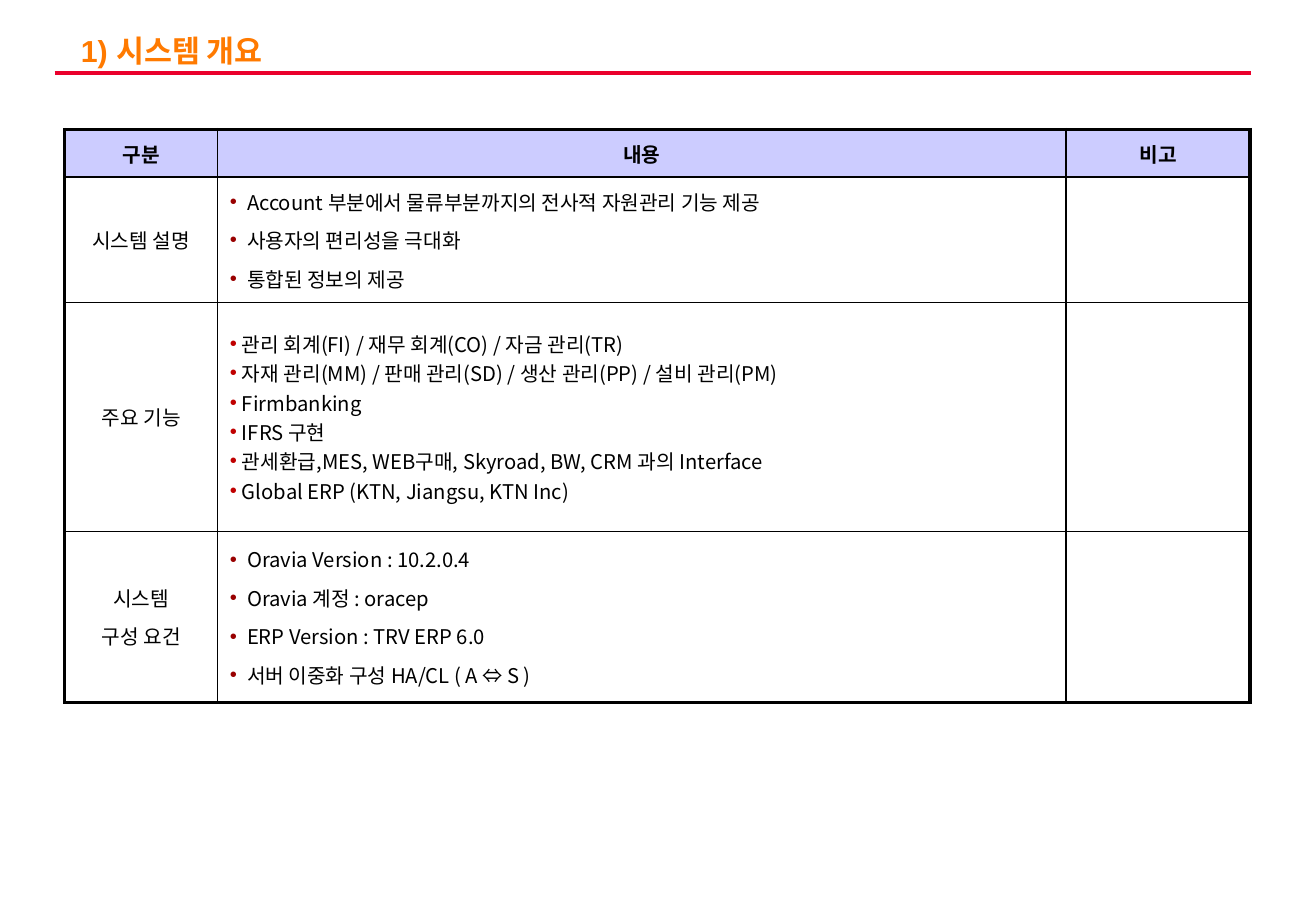
from lxml import etree
from pptx import Presentation, util as u
from pptx.dml.color import RGBColor
from pptx.enum import shapes, text
from pptx.oxml import ns

BLACK = RGBColor(0x00, 0x00, 0x00)
ORANGE = RGBColor(0xFF, 0x7A, 0x00)
RED = RGBColor(0xEA, 0x00, 0x2C)
LAVENDER = RGBColor(0xCC, 0xCC, 0xFF)
MAROON = RGBColor(0x99, 0x00, 0x00)
CRIMSON = RGBColor(0xC0, 0x00, 0x00)

KOREAN_FONT = "Noto Sans CJK KR"
TITLE_FONT = {"name": "Arial", "size": u.Pt(18), "bold": True}
BODY_FONT = {"name": KOREAN_FONT, "size": u.Pt(12), "bold": False}
HEADER_FONT = {**BODY_FONT, "bold": True}

CENTERED = {"alignment": text.PP_ALIGN.CENTER, "space_before": u.Pt(5.4)}
SPACED = {"alignment": text.PP_ALIGN.LEFT, "space_before": u.Pt(5.4)}
TIGHT = {"alignment": text.PP_ALIGN.LEFT}
WIDE_BULLET = (MAROON, 17)
NARROW_BULLET = (CRIMSON, 12)

OUTER, INNER = u.Pt(2.25), u.Pt(1)
COLUMN_WIDTHS = [151, 838, 182]
ROW_HEIGHTS = [47, 124, 226, 169]

HEADINGS = ["구분", "내용", "비고"]
# Each section: label lines, content lines, paragraph format, bullet
SECTIONS = [
    (["시스템 설명"],
     ["Account 부분에서 물류부분까지의 전사적 자원관리 기능 제공",
      "사용자의 편리성을 극대화",
      "통합된 정보의 제공"],
     SPACED, WIDE_BULLET),
    (["주요 기능"],
     ["관리 회계(FI) / 재무 회계(CO) / 자금 관리(TR)",
      "자재 관리(MM) / 판매 관리(SD) / 생산 관리(PP) / 설비 관리(PM)",
      "Firmbanking",
      "IFRS 구현",
      "관세환급,MES, WEB구매, Skyroad, BW, CRM 과의 Interface",
      "Global ERP (KTN, Jiangsu, KTN Inc)"],
     TIGHT, NARROW_BULLET),
    (["시스템", "구성 요건"],
     ["Oravia Version : 10.2.0.4",
      "Oravia 계정 : oracep",
      "ERP Version : TRV ERP 6.0",
      "서버 이중화 구성 HA/CL ( A ⇔ S )"],
     SPACED, WIDE_BULLET),
]


def px(length):
    return u.Emu(length * 7620)


def add_element(parent, tag, **attributes):
    return etree.SubElement(parent, ns.qn(tag),
                            {key: str(value) for key, value in attributes.items()})


class OverviewSlide:
    def __init__(self, width, height):
        self.deck = Presentation()
        self.deck.slide_width, self.deck.slide_height = px(width), px(height)
        self.slide = self.deck.slides.add_slide(self.deck.slide_layouts[6])

    def rule(self, left, y, right):
        line = self.slide.shapes.add_connector(
            shapes.MSO_CONNECTOR.STRAIGHT, px(left), px(y), px(right), px(y))
        line.line.color.rgb = RED
        line.line.width = OUTER
        add_element(line._element.spPr, "a:effectLst")

    def title(self, wording, left, top, width, height):
        frame = self.slide.shapes.add_textbox(
            px(left), px(top), px(width), px(height)).text_frame
        frame.word_wrap = True
        frame.vertical_anchor = text.MSO_ANCHOR.MIDDLE
        self.fill_text(frame, [wording], TITLE_FONT, ORANGE, {"line_spacing": 0.9})

    def fill_text(self, frame, lines, font, color, layout, bullet=None):
        for index, line in enumerate(lines):
            paragraph = frame.paragraphs[0] if index == 0 else frame.add_paragraph()
            for name, value in layout.items():
                if index or name != "space_before":
                    setattr(paragraph, name, value)
            if bullet:
                self.bullet(paragraph, *bullet)
            run = paragraph.add_run()
            run.text = line
            for name, value in font.items():
                setattr(run.font, name, value)
            run.font.color.rgb = color
            add_element(run._r.get_or_add_rPr(), "a:ea", typeface=KOREAN_FONT)

    def bullet(self, paragraph, color, indent):
        properties = paragraph._p.get_or_add_pPr()
        properties.set("marL", str(px(indent)))
        properties.set("indent", str(-px(indent)))
        add_element(add_element(properties, "a:buClr"), "a:srgbClr", val=color)
        add_element(properties, "a:buFont", typeface="Arial")
        add_element(properties, "a:buChar", char="•")

    def table(self, left, top):
        grid = self.slide.shapes.add_table(
            len(ROW_HEIGHTS), len(COLUMN_WIDTHS), px(left), px(top),
            px(sum(COLUMN_WIDTHS)), px(sum(ROW_HEIGHTS))).table
        grid.first_row = grid.horz_banding = False
        for column, width in zip(grid.columns, COLUMN_WIDTHS):
            column.width = px(width)
        for row, height in zip(grid.rows, ROW_HEIGHTS):
            row.height = px(height)
        last_row, last_column = len(ROW_HEIGHTS) - 1, len(COLUMN_WIDTHS) - 1
        for r, row in enumerate(grid.rows):
            for c, cell in enumerate(row.cells):
                cell.vertical_anchor = text.MSO_ANCHOR.MIDDLE
                self.borders(cell, {"a:lnL": c == 0, "a:lnR": c == last_column,
                                    "a:lnT": r == 0, "a:lnB": r == last_row})
                if r == 0:
                    cell.fill.solid()
                    cell.fill.fore_color.rgb = LAVENDER
                else:
                    cell.fill.background()
        return grid

    def borders(self, cell, sides):
        properties = cell._tc.get_or_add_tcPr()
        for tag, is_outer in sides.items():
            line = add_element(properties, tag, w=int(OUTER if is_outer else INNER))
            add_element(add_element(line, "a:solidFill"), "a:srgbClr", val=BLACK)


def main():
    page = OverviewSlide(1300, 900)

    # Title and underline
    page.rule(54, 72, 1236)
    page.title("1) 시스템 개요", 68, 30, 1144, 44)

    # Overview table: header row, then one row per section
    overview = page.table(64, 128)
    for column, heading in enumerate(HEADINGS):
        page.fill_text(overview.cell(0, column).text_frame, [heading],
                       HEADER_FONT, BLACK, CENTERED)
    for row, (label, content, layout, bullet) in enumerate(SECTIONS, start=1):
        page.fill_text(overview.cell(row, 0).text_frame, label,
                       BODY_FONT, BLACK, CENTERED)
        page.fill_text(overview.cell(row, 1).text_frame, content,
                       BODY_FONT, BLACK, layout, bullet)

    page.deck.save("out.pptx")


if __name__ == "__main__":
    main()
